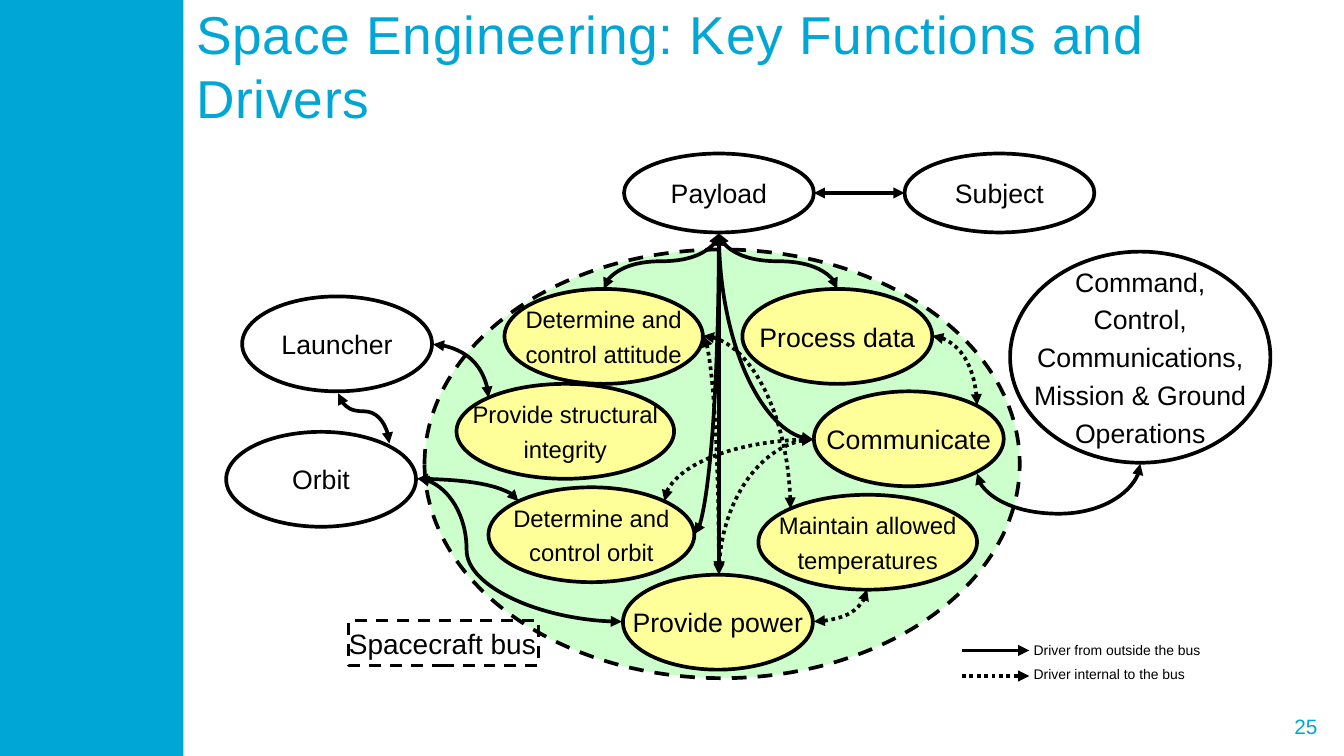
"""Build the slide on key functions and drivers in space engineering."""
from lxml.etree import SubElement
from pptx import Presentation
from pptx.dml.color import RGBColor
from pptx.enum.dml import MSO_LINE
from pptx.enum.shapes import MSO_CONNECTOR, MSO_SHAPE
from pptx.enum.text import MSO_ANCHOR, MSO_AUTO_SIZE, PP_ALIGN
from pptx.oxml.ns import qn
from pptx.util import Pt

PX = 9144
CYAN, BLACK, GREEN, YELLOW = "00A6D6", "000000", "CCFFCC", "FFFF99"
SOLID, DASH, DOT = None, MSO_LINE.DASH, MSO_LINE.ROUND_DOT


def write(box, text, size, color=BLACK, align=PP_ALIGN.LEFT, anchor=MSO_ANCHOR.MIDDLE,
          gap=4, inset=0, wrap=True, spacing=0):
    """Fill a shape with one formatted paragraph per line of text."""
    frame = box.text_frame
    frame.auto_size = MSO_AUTO_SIZE.NONE
    frame.word_wrap = wrap
    frame.vertical_anchor = anchor
    frame.margin_left = frame.margin_right = inset * PX
    frame.margin_top = frame.margin_bottom = 5 * PX
    for index, line in enumerate(text.split("\n")):
        para = frame.add_paragraph() if index else frame.paragraphs[0]
        para.alignment = align
        para.space_before = Pt(gap if index else 0)
        span = para.add_run()
        span.text = line
        span.font.name, span.font.size = "Arial", Pt(size)
        span.font.color.rgb = RGBColor.from_string(color)
        if spacing:
            span.font._element.set("spc", str(spacing))


def draw(kind, left, top, width, height, fill=None, line=BLACK, weight=2.5, dash=SOLID):
    """Add a preset shape with its fill and outline."""
    shape = page.shapes.add_shape(kind, left * PX, top * PX, width * PX, height * PX)
    shape.shadow.inherit = False
    if fill:
        shape.fill.solid()
        shape.fill.fore_color.rgb = RGBColor.from_string(fill)
    else:
        shape.fill.background()
    if line:
        shape.line.color.rgb = RGBColor.from_string(line)
        shape.line.width = Pt(weight)
        shape.line.dash_style = dash
    else:
        shape.line.fill.background()
    return shape


deck = Presentation()
deck.slide_width, deck.slide_height = 1260 * PX, 709 * PX
page = deck.slides.add_slide(deck.slide_layouts[5])

title = page.shapes.title
title.left, title.top, title.width, title.height = 174 * PX, 0, 1086 * PX, 122 * PX
write(title, "Space Engineering: Key Functions and Drivers", 36, CYAN, inset=10, spacing=50)

draw(MSO_SHAPE.RECTANGLE, 0, 0, 172, 709, CYAN, None)
number = page.shapes.add_textbox(1131 * PX, 664 * PX, 114 * PX, 34 * PX)
write(number, "25", 14, CYAN, PP_ALIGN.RIGHT, inset=10)

draw(MSO_SHAPE.OVAL, 398, 234, 558, 402, GREEN, dash=DASH)

functions = [
    ("Determine and\ncontrol attitude", 16.1, 473, 271, 186, 89, YELLOW),
    ("Process data", 18, 696, 271, 178, 89, YELLOW),
    ("Provide structural\nintegrity", 16.1, 428, 360, 204, 89, YELLOW),
    ("Communicate", 18, 763, 367, 178, 89, YELLOW),
    ("Provide power", 18, 584, 539, 178, 89, YELLOW),
    ("Determine and\ncontrol orbit", 16.1, 458, 457, 193, 89, YELLOW),
    ("Maintain allowed\ntemperatures", 16.1, 711, 464, 205, 89, YELLOW),
    ("Payload", 18, 585, 144, 178, 74, None),
    ("Subject", 18, 848, 144, 178, 74, None),
    ("Launcher", 18, 227, 278, 178, 89, None),
    ("Orbit", 18, 212, 405, 178, 89, None),
    ("Command,\nControl,\nCommunications,\nMission & Ground\nOperations",
     18, 947, 236, 244, 198, None),
]
for text, size, left, top, width, height, fill in functions:
    oval = draw(MSO_SHAPE.OVAL, left, top, width, height, fill)
    write(oval, text, size, align=PP_ALIGN.CENTER, wrap=False)

bus = draw(MSO_SHAPE.RECTANGLE, 327, 582, 178, 42, weight=2, dash=DASH)
write(bus, "Spacecraft bus", 18.9)

STRAIGHT, ARC, ACROSS, DOWN = "line", "curvedConnector2", "curvedConnector3", "down"
drivers = [
    (STRAIGHT, 848, 181, 763, 181, SOLID, None),
    (STRAIGHT, 674, 537, 674, 220, SOLID, None),
    (DOWN, 674, 219, 566, 271, SOLID, 50000),
    (DOWN, 674, 219, 785, 271, SOLID, 50000),
    (DOWN, 317, 369, 365, 416, SOLID, 35700),
    (DOWN, 1069, 435, 916, 444, SOLID, 519000),
    (ACROSS, 392, 449, 583, 583, SOLID, 23800),
    (ARC, 651, 501, 674, 219, SOLID, None),
    (ARC, 762, 412, 674, 220, SOLID, None),
    (ARC, 406, 323, 458, 373, SOLID, None),
    (ARC, 391, 449, 486, 470, SOLID, None),
    (ARC, 659, 315, 674, 539, DOT, None),
    (ARC, 874, 315, 916, 380, DOT, None),
    (ARC, 659, 315, 741, 477, DOT, None),
    (ARC, 762, 412, 674, 537, DOT, None),
    (ARC, 763, 412, 623, 470, DOT, None),
    (ARC, 763, 583, 813, 553, DOT, None),
]
legend = [(STRAIGHT, 902, 610, 965, 610, SOLID, None), (STRAIGHT, 902, 634, 965, 634, DOT, None)]
for driver in drivers + legend:
    route, x1, y1, x2, y2, dash, bend = driver
    if route == DOWN:
        middle_x, middle_y = (x1 + x2) / 2, (y1 + y2) / 2
        half_run, half_rise = (y2 - y1) / 2, (x2 - x1) / 2
        x1, x2 = middle_x - half_run, middle_x + half_run
        y1, y2 = middle_y + half_rise, middle_y - half_rise
    kind = MSO_CONNECTOR.STRAIGHT if route == STRAIGHT else MSO_CONNECTOR.CURVE
    arrow = page.shapes.add_connector(kind, *(int(end * PX) for end in (x1, y1, x2, y2)))
    arrow.line.color.rgb = RGBColor.from_string(BLACK)
    arrow.line.width = Pt(2.5)
    arrow.line.dash_style = dash
    properties = arrow.element.spPr
    geometry = properties.find(qn("a:prstGeom"))
    if route == DOWN:
        properties.find(qn("a:xfrm")).set("rot", "5400000")
    if route == ARC:
        geometry.set("prst", ARC)
    if bend:
        SubElement(geometry.find(qn("a:avLst")), qn("a:gd"), name="adj1", fmla=f"val {bend}")
    for tip in ["a:tailEnd"] if driver in legend else ["a:headEnd", "a:tailEnd"]:
        SubElement(properties.find(qn("a:ln")), qn(tip), type="triangle")
    SubElement(properties, qn("a:effectLst"))

key = page.shapes.add_textbox(969 * PX, 600 * PX, 181 * PX, 45 * PX)
write(key, "Driver from outside the bus\nDriver internal to the bus", 9.4,
      anchor=MSO_ANCHOR.BOTTOM, gap=5)

deck.save("out.pptx")
